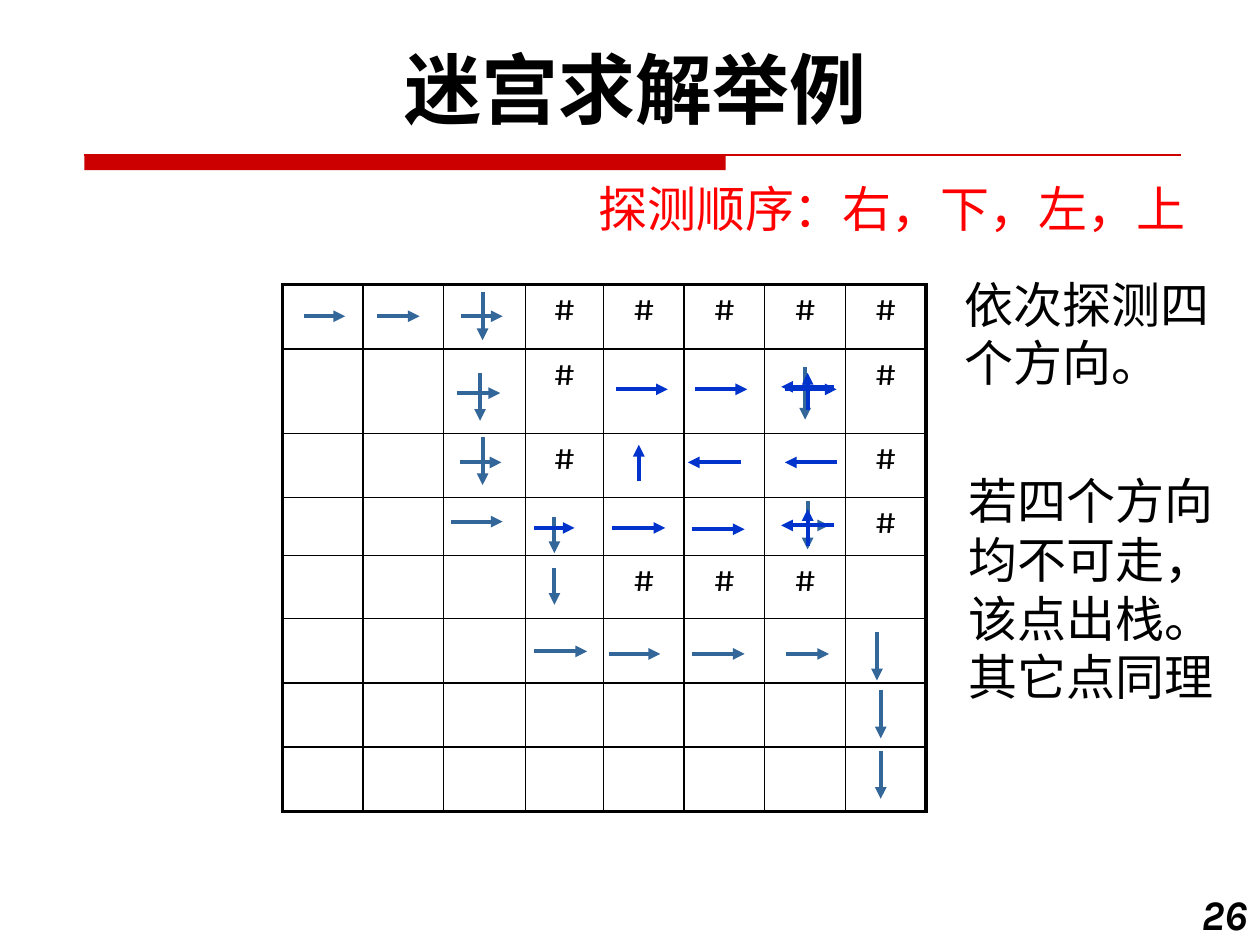
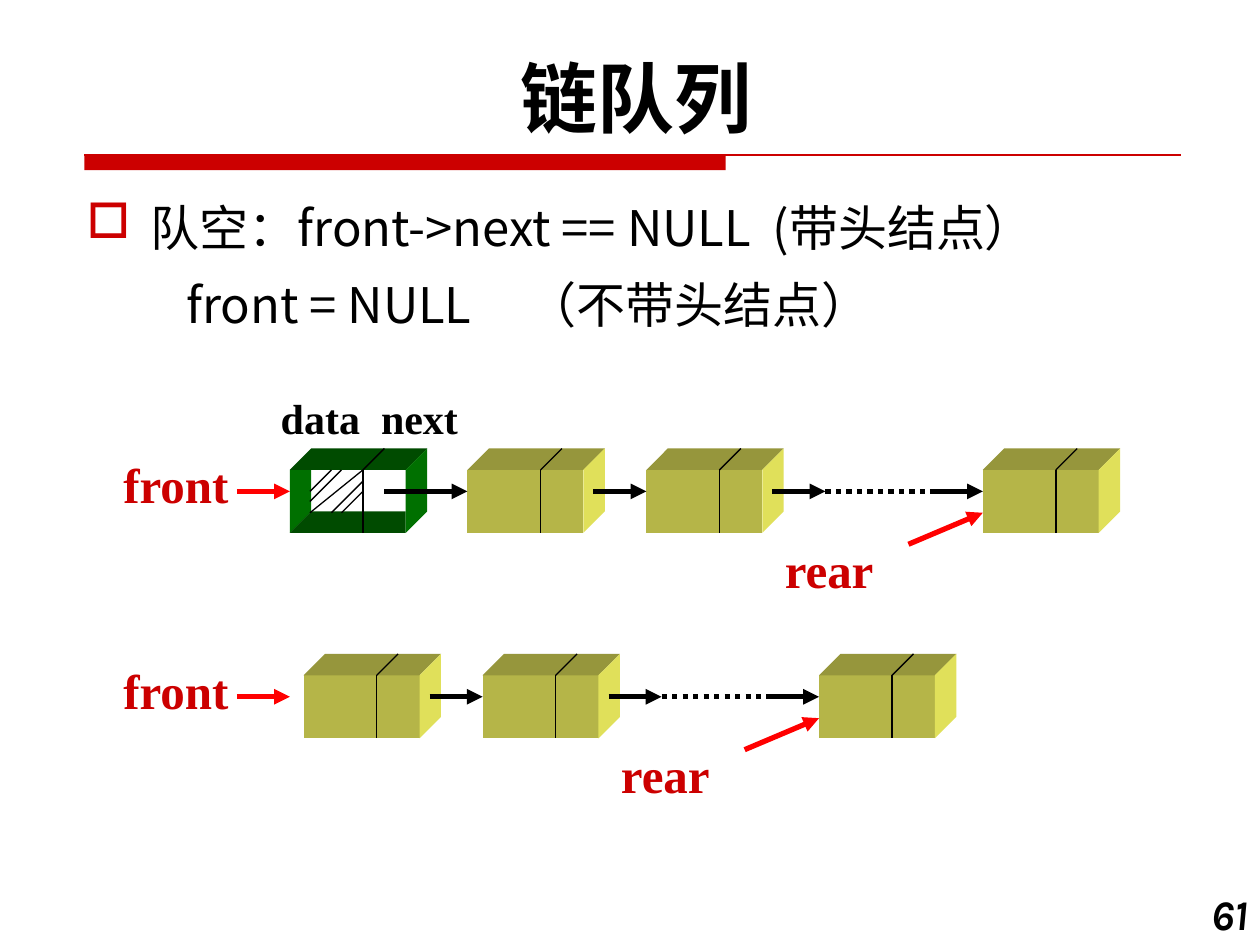
import pptx
import pptx.dml.color
import pptx.enum.dml
import pptx.enum.shapes
import pptx.enum.text
import pptx.oxml.ns
import pptx.util
from lxml import etree

Inches = pptx.util.Inches
Pt = pptx.util.Pt
qn = pptx.oxml.ns.qn
colour = pptx.dml.color.RGBColor.from_string
ALIGN = pptx.enum.text.PP_ALIGN

# Shared look
BLACK, WHITE, RED, BRIGHT_RED = "000000", "FFFFFF", "CC0000", "FF0000"
STEEL, BLUE = "336699", "0033CC"
CJK, LATIN, SERIF = "Noto Sans CJK SC", "Karla", "Times New Roman"


def add_text(text, frame=None, slide=None, at=None, size=28, font=CJK, color=BLACK, bold=False,
             italic=False, align=ALIGN.LEFT, wrap=True, line_height=None, before=0):
    """Fill a given text frame, or a new text box, with one paragraph per line."""
    if frame is None:
        frame = slide.shapes.add_textbox(*[Inches(value) for value in at]).text_frame
        frame.word_wrap = wrap
    for index, words in enumerate(text.split("\n")):
        paragraph = frame.add_paragraph() if index else frame.paragraphs[0]
        paragraph.alignment = align
        paragraph.space_before = Pt(before if index else 0)
        if line_height:
            paragraph.line_spacing = Pt(line_height)
        run = paragraph.add_run()
        run.text = words
        run.font.size = Pt(size)
        run.font.name = font
        run.font.bold = bold
        run.font.italic = italic
        run.font.color.rgb = colour(color)
        etree.SubElement(run.font._element, qn("a:ea"), typeface=CJK)
    return frame


def add_line(slide, x1, y1, x2, y2, color=BLACK, width=0.75, arrow=False, dotted=False):
    connector = slide.shapes.add_connector(
        pptx.enum.shapes.MSO_CONNECTOR.STRAIGHT, Inches(x1), Inches(y1), Inches(x2), Inches(y2))
    connector.line.color.rgb = colour(color)
    connector.line.width = Pt(width)
    if dotted:
        connector.line.dash_style = pptx.enum.dml.MSO_LINE.ROUND_DOT
    properties = connector._element.spPr
    if arrow:
        etree.SubElement(properties.find(qn("a:ln")), qn("a:tailEnd"), type="triangle")
    etree.SubElement(properties, qn("a:effectLst"))


presentation = pptx.Presentation()
presentation.slide_width = Inches(10)
presentation.slide_height = Inches(7.5)

# Title, red rule and page number of both slides
slides = []
for title, title_top, number in [("迷宫求解举例", 0.21, "26"), ("链队列", 0.28, "61")]:
    slide = presentation.slides.add_slide(presentation.slide_layouts[6])
    slides.append(slide)
    band = slide.shapes.add_shape(pptx.enum.shapes.MSO_SHAPE.RECTANGLE,
                                  Inches(0.67), Inches(1.23), Inches(5.09), Inches(0.12))
    band.shadow.inherit = False
    band.fill.solid()
    band.fill.fore_color.rgb = colour(RED)
    band.line.fill.background()
    add_line(slide, 0.67, 1.23, 9.37, 1.23, color=RED)
    add_text(title, slide=slide, at=(0.42, title_top, 9.25, 0.84), size=44, font=LATIN,
             bold=True, align=ALIGN.CENTER, line_height=58)
    add_text(number, slide=slide, at=(9.33, 7, 0.67, 0.5), size=24, font=LATIN,
             bold=True, italic=True, align=ALIGN.RIGHT)
maze_slide, queue_slide = slides

# Maze: # marks a wall
maze = ["...#####",
        "...#...#",
        "...#...#",
        ".......#",
        "....###.",
        "........",
        "........",
        "........"]
column_widths = [0.64, 0.64, 0.65, 0.62, 0.64, 0.64, 0.64, 0.64]
row_heights = [0.51, 0.67, 0.51, 0.46, 0.5, 0.51, 0.51, 0.51]
last = len(maze) - 1
table = maze_slide.shapes.add_table(len(maze), len(maze), Inches(2.24), Inches(2.26),
                                    Inches(5.11), Inches(4.18)).table
table.first_row = False
table.horz_banding = False
for index in range(len(maze)):
    table.columns[index].width = Inches(column_widths[index])
    table.rows[index].height = Inches(row_heights[index])
for row, marks in enumerate(maze):
    for column, mark in enumerate(marks):
        cell = table.cell(row, column)
        cell.fill.background()
        if mark == "#":
            cell.margin_left = cell.margin_right = cell.margin_bottom = 0
            cell.margin_top = Inches(0.04)
            add_text(mark, frame=cell.text_frame, size=20, font=LATIN, align=ALIGN.CENTER)
        edges = [("L", column == 0), ("R", column == last), ("T", row == 0), ("B", row == last)]
        for position, (side, outer) in enumerate(edges):
            border = etree.Element(qn("a:ln" + side), w=str(Pt(2.25 if outer else 1)))
            fill = etree.SubElement(border, qn("a:solidFill"))
            etree.SubElement(fill, qn("a:srgbClr"), val=BLACK)
            cell._tc.get_or_add_tcPr().insert(position, border)

# Probing steps: start and end of each arrow
probes = {
    STEEL: [
        (2.41, 2.51, 2.74, 2.51), (2.99, 2.51, 3.33, 2.51), (3.66, 2.51, 3.99, 2.51),
        (3.83, 2.32, 3.83, 2.7), (3.63, 3.12, 3.97, 3.12), (3.81, 2.96, 3.81, 3.34),
        (3.65, 3.67, 3.98, 3.67), (3.83, 3.47, 3.83, 3.85), (3.58, 4.14, 3.99, 4.14),
        (4.4, 4.1, 4.4, 4.39), (4.4, 4.51, 4.4, 4.8), (4.24, 5.17, 4.66, 5.17),
        (4.83, 5.19, 5.24, 5.19), (5.49, 5.19, 5.91, 5.19), (6.24, 5.19, 6.58, 5.19),
        (6.96, 5.02, 6.96, 5.4), (6.99, 5.48, 6.99, 5.86), (6.99, 5.96, 6.99, 6.34),
        (6.39, 2.91, 6.39, 3.33), (6.24, 4.17, 6.58, 4.17), (6.41, 3.98, 6.41, 4.36)],
    BLUE: [
        (4.24, 4.19, 4.56, 4.19), (4.86, 4.19, 5.28, 4.19), (5.49, 4.2, 5.91, 4.2),
        (6.41, 4.33, 6.41, 4.04), (6.62, 4.17, 6.2, 4.17), (6.64, 3.67, 6.23, 3.67),
        (5.88, 3.67, 5.46, 3.67), (5.07, 3.82, 5.07, 3.53), (4.89, 3.09, 5.3, 3.09),
        (5.52, 3.09, 5.93, 3.09), (6.23, 3.09, 6.64, 3.09), (6.62, 3.07, 6.2, 3.07),
        (6.41, 3.25, 6.41, 2.96)],
}
for color, arrows in probes.items():
    for ends in arrows:
        add_line(maze_slide, *ends, color=color, width=2.25, arrow=True)

# Remarks beside the maze
for remark, at, color in [
        ("探测顺序：右，下，左，上", (4.65, 1.37, 5.03, 0.57), BRIGHT_RED),
        ("依次探测四个方向。", (7.56, 2.13, 2.21, 1.04), BLACK),
        ("若四个方向均不可走，该点出栈。其它点同理", (7.59, 3.69, 2.21, 1.99), BLACK)]:
    add_text(remark, slide=maze_slide, at=at, color=color, line_height=33.5)

# Conditions for an empty queue
conditions = add_text("队空：front->next == NULL  (带头结点）\nfront = NULL\t（不带头结点）",
                      slide=queue_slide, at=(0.59, 1.57, 9.3, 1.3), line_height=30, before=14)
bulleted, indented = [paragraph._p.get_or_add_pPr() for paragraph in conditions.paragraphs]
bulleted.set("marL", str(Inches(0.51)))
bulleted.set("indent", str(-Inches(0.51)))
bullet_color = etree.SubElement(bulleted, qn("a:buClr"))
etree.SubElement(bullet_color, qn("a:srgbClr"), val=RED)
etree.SubElement(bulleted, qn("a:buChar"), char="□")
indented.set("marL", "0")
indented.set("indent", str(Inches(0.79)))
tabs = etree.SubElement(indented, qn("a:tabLst"))
etree.SubElement(tabs, qn("a:tab"), pos=str(Inches(3.48)), algn="l")

# Linked queues, with and without a head node
WIDTH, HEIGHT, DEPTH, SPLIT, STEP = 0.92, 0.5, 0.17, 0.58, 0.42
front_face = [(0, 0), (WIDTH, 0), (WIDTH, HEIGHT), (0, HEIGHT)]
top_face = [(0, 0), (DEPTH, -DEPTH), (WIDTH + DEPTH, -DEPTH), (WIDTH, 0)]
right_face = [(WIDTH, 0), (WIDTH + DEPTH, -DEPTH),
              (WIDTH + DEPTH, HEIGHT - DEPTH), (WIDTH, HEIGHT)]
left_wall = [(0, 0), (DEPTH, 0), (DEPTH, HEIGHT - DEPTH), (0, HEIGHT)]
floor = [(0, HEIGHT), (DEPTH, HEIGHT - DEPTH), (WIDTH, HEIGHT - DEPTH), (WIDTH, HEIGHT)]
solid_node = [(front_face, "B5B548"), (top_face, "96963C"), (right_face, "E0E05A")]
hollow_node = [(left_wall, "007000"), (floor, "004B00"),
               (top_face, "004B00"), (right_face, "007000")]
hatching = [(0.41, 0, 0.16, 0.25), (0.58, 0.09, 0.33, 0.34), (0.58, 0, 0.16, 0.34),
            (0.58, 0.17, 0.41, 0.34), (0.33, 0, 0.16, 0.17)]

add_text("data  next", slide=queue_slide, at=(2.13, 3.07, 1.83, 0.5), size=24, font=SERIF, bold=True)
for top, lefts, has_head in [(3.73, [2.3, 3.71, 5.13, 7.8], True),
                             (5.36, [2.41, 3.83, 6.5], False)]:
    middle = top + DEPTH
    tail = lefts[-1]

    # Nodes, each split into data and next
    for index, left in enumerate(lefts):
        is_head = has_head and index == 0
        for points, color in hollow_node if is_head else solid_node:
            corners = [(Inches(left + x), Inches(top + y)) for x, y in points]
            builder = queue_slide.shapes.build_freeform(*corners[0], scale=1.0)
            builder.add_line_segments(corners[1:], close=True)
            face = builder.convert_to_shape()
            face.shadow.inherit = False
            face.fill.solid()
            face.fill.fore_color.rgb = colour(color)
            face.line.fill.background()
        split = left + SPLIT
        add_line(queue_slide, split, top, split, top + HEIGHT)
        add_line(queue_slide, split, top, split + DEPTH, top - DEPTH)
        if is_head:
            for x1, y1, x2, y2 in hatching:
                add_line(queue_slide, left + x1, top + y1, left + x2, top + y2)

    # Links between nodes, the last one broken by dots
    for index, left in enumerate(lefts[:-2]):
        start = left + (0.75 if has_head and index == 0 else 1)
        add_line(queue_slide, start, middle, lefts[index + 1], middle, width=3, arrow=True)
    start = lefts[-2] + 1
    add_line(queue_slide, start, middle, start + STEP, middle, width=3, arrow=True)
    add_line(queue_slide, start + STEP, middle, tail - STEP, middle, width=3, dotted=True)
    add_line(queue_slide, tail - STEP, middle, tail, middle, width=3, arrow=True)

    # Front and rear pointers
    add_line(queue_slide, 1.88, middle, 2.3, middle, color=BRIGHT_RED, width=3, arrow=True)
    add_line(queue_slide, tail - 0.59, top + 0.59, tail, top + 0.34,
             color=BRIGHT_RED, width=3, arrow=True)
    for label, left, label_top in [("front", 0.88, top - DEPTH), ("rear", tail - 1.67, top + HEIGHT)]:
        add_text(label, slide=queue_slide, at=(left, label_top, 1.05, 0.57),
                 font=SERIF, color=RED, bold=True, wrap=False)

presentation.save("out.pptx")
